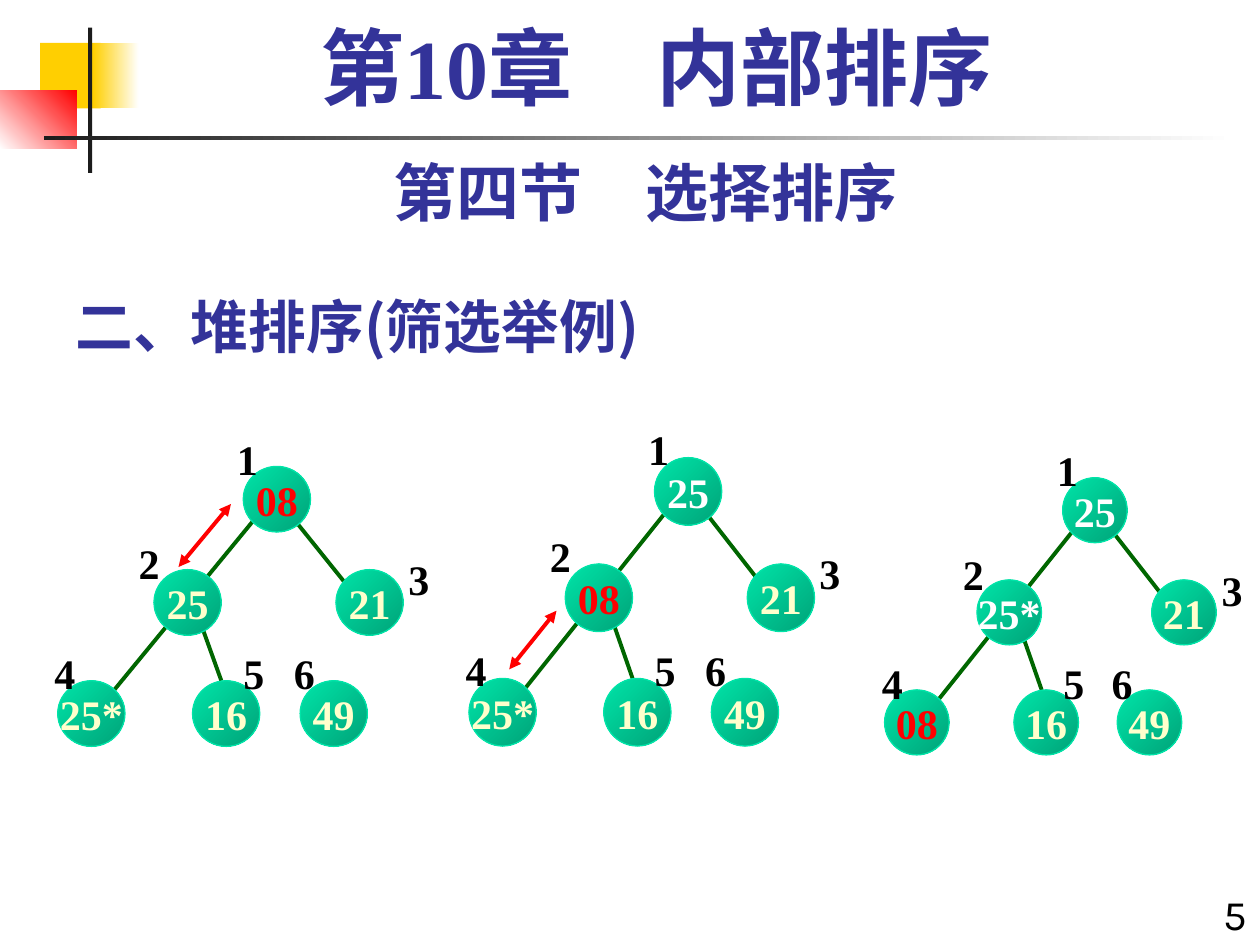
"""Build a slide that shows heap sifting on three small trees."""
from lxml import etree
from pptx import Presentation, util as u
from pptx.dml.color import RGBColor
from pptx.enum import shapes, text
from pptx.oxml import ns

BLUE = RGBColor(0x33, 0x33, 0x99)
GOLD = RGBColor(0xFF, 0xCF, 0x01)
RED = RGBColor(0xFF, 0, 0)
WHITE = RGBColor(0xFF, 0xFF, 0xFF)
CREAM = RGBColor(0xFF, 0xFF, 0xCC)
BLACK = RGBColor(0, 0, 0)
INK = RGBColor(0x1C, 0x1C, 0x1C)
MINT = RGBColor(0, 0xE4, 0xA8)
TEAL = RGBColor(0, 0xA3, 0x78)
GREEN = RGBColor(0, 0x66, 0)

SERIF, SANS, CJK = "Times New Roman", "Karla", "Noto Sans CJK SC"
NODE_W, NODE_H = 38.4, 37.5
LABEL_W, LABEL_H = 26.6, 36
EDGES = [((132, 26.5), (175, 80)), ((82, 90.5), (93.5, 122.5)), ((115.5, 26.5), (28, 133))]
NODES = [(106, 0), (55, 59), (159, 59), (0, 122.5), (77, 122.5), (138.5, 122.5)]
LABELS = [(95, -22.5), (39, 37), (193, 46.5), (-9.2, 100), (98.8, 100), (127.6, 100)]


class Deck:
    """Hold the drawing style and the current slide."""

    def __init__(self, s):
        self.s = s

    def label(self, sp, words, size, color, font, bold=True, align=text.PP_ALIGN.CENTER):
        tf = sp.text_frame
        tf.text = words
        p = tf.paragraphs[0]
        p.alignment = align
        r = p.runs[0]
        r.font.size, r.font.bold, r.font.name = u.Pt(size), bold, font
        r.font.color.rgb = color
        etree.SubElement(r._r.get_or_add_rPr(), ns.qn("a:ea")).set("typeface", CJK)
        return p

    def box(self, x, y, w, h, words, size, color, font, wrap=True,
            anchor=text.MSO_ANCHOR.TOP, parent=None, **style):
        sp = (parent or self.s.shapes).add_textbox(u.Pt(x), u.Pt(y), u.Pt(w), u.Pt(h))
        sp.text_frame.word_wrap = wrap
        sp.text_frame.vertical_anchor = anchor
        return self.label(sp, words, size, color, font, **style)

    def shape(self, kind, x, y, w, h, start, end=None, angle=0, parent=None):
        sp = (parent or self.s.shapes).add_shape(kind, u.Pt(x), u.Pt(y), u.Pt(w), u.Pt(h))
        sp.shadow.inherit = False
        sp.line.fill.background()
        if end is None:
            sp.fill.solid()
            sp.fill.fore_color.rgb = start
            return sp
        sp.fill.gradient()
        sp.fill.gradient_angle = angle
        for stop, color, place in zip(sp.fill.gradient_stops, (start, end), (0, 1)):
            stop.color.rgb = color
            stop.position = place
        return sp

    def rect(self, *args, **kw):
        return self.shape(shapes.MSO_SHAPE.RECTANGLE, *args, **kw)

    def line(self, a, b, color, arrows=False, parent=None):
        c = (parent or self.s.shapes).add_connector(
            shapes.MSO_CONNECTOR.STRAIGHT, *(u.Pt(v) for v in (*a, *b)))
        c.line.color.rgb = color
        c.line.width = u.Pt(2.25)
        if arrows:
            ln = c._element.spPr.find(ns.qn("a:ln"))
            for end in ("a:headEnd", "a:tailEnd"):
                etree.SubElement(ln, ns.qn(end)).set("type", "triangle")
        etree.SubElement(c._element.spPr, ns.qn("a:effectLst"))

    def node(self, x, y, w, h, words, color, parent):
        sp = self.shape(shapes.MSO_SHAPE.OVAL, x, y, w, h, MINT, TEAL, 315, parent)
        sp.line.color.rgb = MINT
        sp.line.width = u.Pt(0.75)
        sp.text_frame.word_wrap = False
        sp.text_frame.vertical_anchor = text.MSO_ANCHOR.MIDDLE
        self.label(sp, words, 24, color, SERIF)

    def tree(self, x, y, sx, sy, values, colors):
        g = self.s.shapes.add_group_shape().shapes

        def at(point):
            return x + point[0] * sx, y + point[1] * sy

        for a, b in EDGES:
            self.line(at(a), at(b), GREEN, parent=g)
        for point, value in zip(NODES, values):
            self.node(*at(point), NODE_W * sx, NODE_H * sy, value, colors.get(value, CREAM), g)
        for i, point in enumerate(LABELS, 1):
            self.box(*at(point), LABEL_W, LABEL_H, str(i), 24, BLACK, SERIF, wrap=False, parent=g)
        return g


def main():
    prs = Presentation()
    prs.slide_width, prs.slide_height = u.Pt(720), u.Pt(540)
    d = Deck(prs.slides.add_slide(prs.slide_layouts[6]))

    d.rect(23, 24.5, 34.5, 37.5, GOLD)
    d.rect(53.3, 24.5, 26, 37.5, GOLD, WHITE)
    d.rect(0, 51.8, 44, 33.2, WHITE, RED, 45)
    d.rect(50.4, 15.8, 2.3, 83, INK)
    d.rect(25.2, 77.8, 680, 2.5, INK, WHITE)

    d.box(36, 156, 450, 53.5, "二、堆排序(筛选举例)", 33, BLUE, CJK,
          anchor=text.MSO_ANCHOR.BOTTOM, align=text.PP_ALIGN.LEFT)
    d.box(672, 504, 48, 36, "5", 24, BLACK, SANS, bold=False, align=text.PP_ALIGN.RIGHT)
    d.box(36, 84, 666, 50.5, "第四节　选择排序", 36, BLUE, SANS)
    p = d.box(48, 12, 654, 60, "第10章　内部排序", 48, BLUE, SERIF)
    p.line_spacing = 0.9

    d.tree(33, 266.5, 1, 1, ["08", "25", "21", "25*", "16", "49"], {"08": RED})
    d.line((102, 324), (132, 288), RED, arrows=True)
    g = d.tree(268, 261.5, 1, 1.03, ["25", "08", "21", "25*", "16", "49"],
               {"08": RED, "25": WHITE})
    d.line((291, 382.5), (318, 349), RED, arrows=True, parent=g)
    d.tree(505.5, 273, 0.96, 0.99, ["25", "25*", "21", "08", "16", "49"],
           {"08": RED, "25": WHITE, "25*": WHITE})
    prs.save("out.pptx")


if __name__ == "__main__":
    main()
